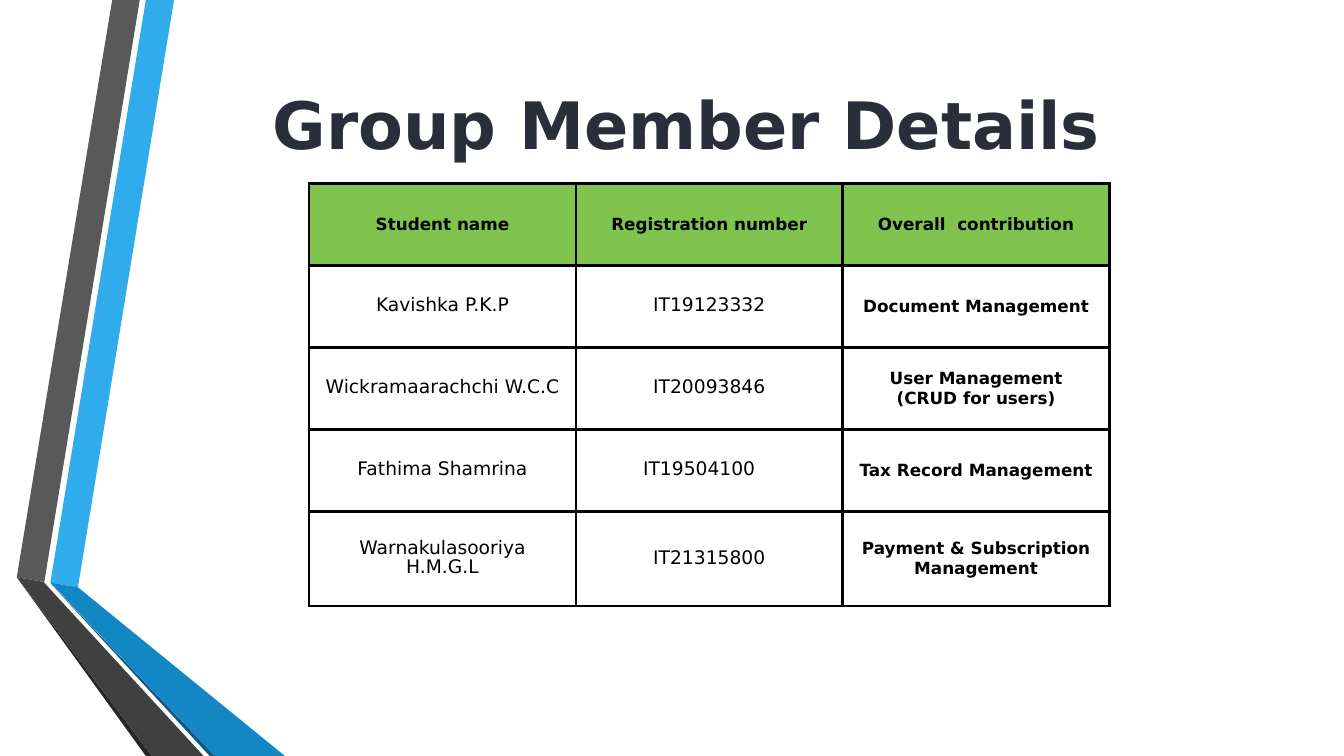
from typing import NamedTuple

from lxml import etree
from pptx import Presentation
from pptx.dml.color import RGBColor
from pptx.enum.text import MSO_ANCHOR, PP_ALIGN
from pptx.oxml.ns import qn
from pptx.util import Pt

PX = 9144  # 100 px to the inch
FONT = "DejaVu Sans"
BLACK, GREEN, NAVY = "000000", "80C34F", "2A2E3A"
LEFT, CENTER = PP_ALIGN.LEFT, PP_ALIGN.CENTER
TOP, MIDDLE = MSO_ANCHOR.TOP, MSO_ANCHOR.MIDDLE


class Band(NamedTuple):
    color: str
    points: list[tuple[int, int]]


class Style(NamedTuple):
    size: int
    bold: bool


HEAD = Style(18, True)
BODY = Style(20, False)

BANDS = [
    Band("30ACEC", [(75, 867), (116, 874), (259, 0), (217, 0)]),
    Band("595959", [(208, 0), (167, 0), (25, 859), (66, 866)]),
    Band("262626", [(25, 859), (217, 1125), (226, 1125)]),
    Band("0C5A82", [(75, 868), (312, 1125), (320, 1125)]),
    Band("1287C3", [(75, 867), (320, 1125), (424, 1125), (116, 874)]),
    Band("404040", [(303, 1125), (73, 875), (65, 866), (25, 859), (226, 1125)]),
]

TITLES = ["Student name", "Registration number", "Overall  contribution"]
MEMBERS = [
    ["Kavishka P.K.P", "IT19123332", "Document Management"],
    ["Wickramaarachchi W.C.C", "IT20093846", "User Management (CRUD for users)"],
    ["Fathima Shamrina", "IT19504100", "Tax Record Management"],
    ["Warnakulasooriya H.M.G.L", "IT21315800", "Payment & Subscription Management"],
]
COLUMN = 397
HEIGHTS = [122, 122, 122, 122, 141]
INSET = 21
OFFSET = {(3, 1): 100}  # left inset of the one cell that is not centred


def rgb(code: str) -> RGBColor:
    return RGBColor.from_string(code)


def write(frame, text: str, *, size: int, bold: bool, color: str = BLACK,
          lead: float = 21, align=CENTER, anchor=MIDDLE) -> None:
    frame.word_wrap = True
    frame.vertical_anchor = anchor
    para = frame.paragraphs[0]
    para.alignment = align
    para.line_spacing = Pt(lead)
    run = para.add_run()
    run.text = text
    font = run.font
    font.name, font.size, font.bold = FONT, Pt(size), bold
    font.color.rgb = rgb(color)


def draw_band(slide, band: Band) -> None:
    start, *rest = band.points
    pen = slide.shapes.build_freeform(*start, scale=PX)
    pen.add_line_segments(rest, close=True)
    shape = pen.convert_to_shape()
    shape.shadow.inherit = False
    shape.fill.solid()
    shape.fill.fore_color.rgb = rgb(band.color)
    shape.line.fill.background()


def add_edges(cell, color: str, width: float) -> None:
    props = cell._tc.get_or_add_tcPr()
    for spot, side in enumerate(("lnL", "lnR", "lnT", "lnB")):
        edge = etree.Element(qn(f"a:{side}"), w=str(Pt(width)))
        fill = etree.SubElement(edge, qn("a:solidFill"))
        etree.SubElement(fill, qn("a:srgbClr"), val=color)
        props.insert(spot, edge)


def draw_table(slide, left: int, top: int, rows: list[list[str]]) -> None:
    count = len(rows[0])
    frame = slide.shapes.add_table(len(rows), count, left * PX, top * PX,
                                   count * COLUMN * PX, sum(HEIGHTS) * PX)
    table = frame.table
    for column in table.columns:
        column.width = COLUMN * PX
    for r, (row, height) in enumerate(zip(rows, HEIGHTS)):
        table.rows[r].height = height * PX
        for c, text in enumerate(row):
            cell = table.cell(r, c)
            shift = OFFSET.get((r, c))
            cell.margin_left = (shift or INSET) * PX
            cell.margin_right = cell.margin_top = cell.margin_bottom = INSET * PX
            cell.vertical_anchor = MIDDLE
            if r == 0:
                cell.fill.solid()
                cell.fill.fore_color.rgb = rgb(GREEN)
            else:
                cell.fill.background()
            add_edges(cell, BLACK, 3)
            style = HEAD if r == 0 or c == count - 1 else BODY
            write(cell.text_frame, text, size=style.size, bold=style.bold,
                  lead=19.6 if shift else 21, align=LEFT if shift else CENTER)


def draw_title(slide, text: str) -> None:
    box = slide.shapes.add_textbox(308 * PX, 116 * PX, 1427 * PX, 116 * PX)
    frame = box.text_frame
    frame.margin_left = frame.margin_right = 0
    frame.margin_top = frame.margin_bottom = 0
    write(frame, text, size=70, bold=True, color=NAVY, lead=91, anchor=TOP)


def main() -> None:
    deck = Presentation()
    deck.slide_width, deck.slide_height = 2000 * PX, 1125 * PX
    slide = deck.slides.add_slide(deck.slide_layouts[6])

    # Folded ribbons on the left
    for band in BANDS:
        draw_band(slide, band)

    # Members and their work
    draw_table(slide, 460, 273, [TITLES, *MEMBERS])

    # Heading
    draw_title(slide, "Group Member Details")

    deck.save("out.pptx")


if __name__ == "__main__":
    main()
